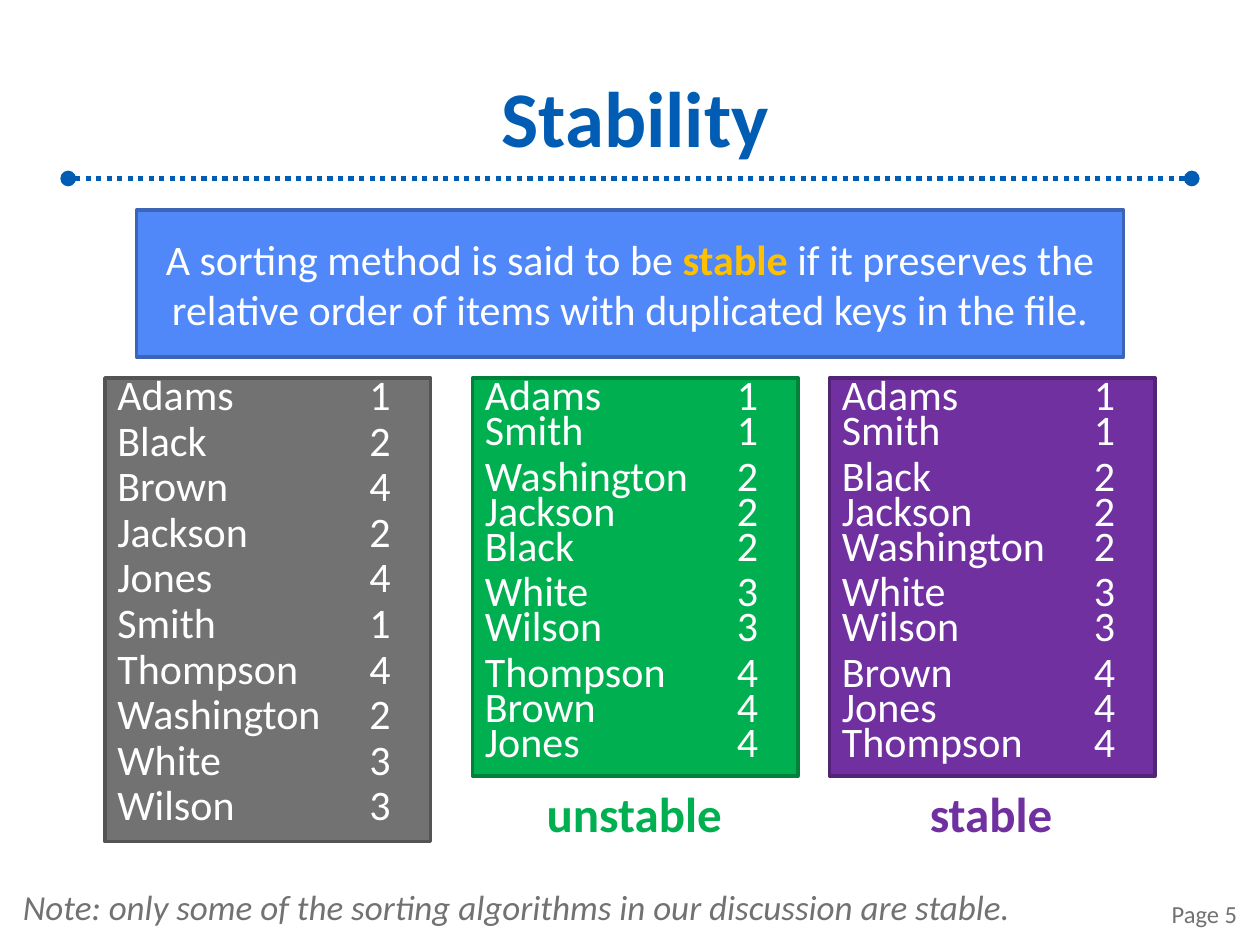
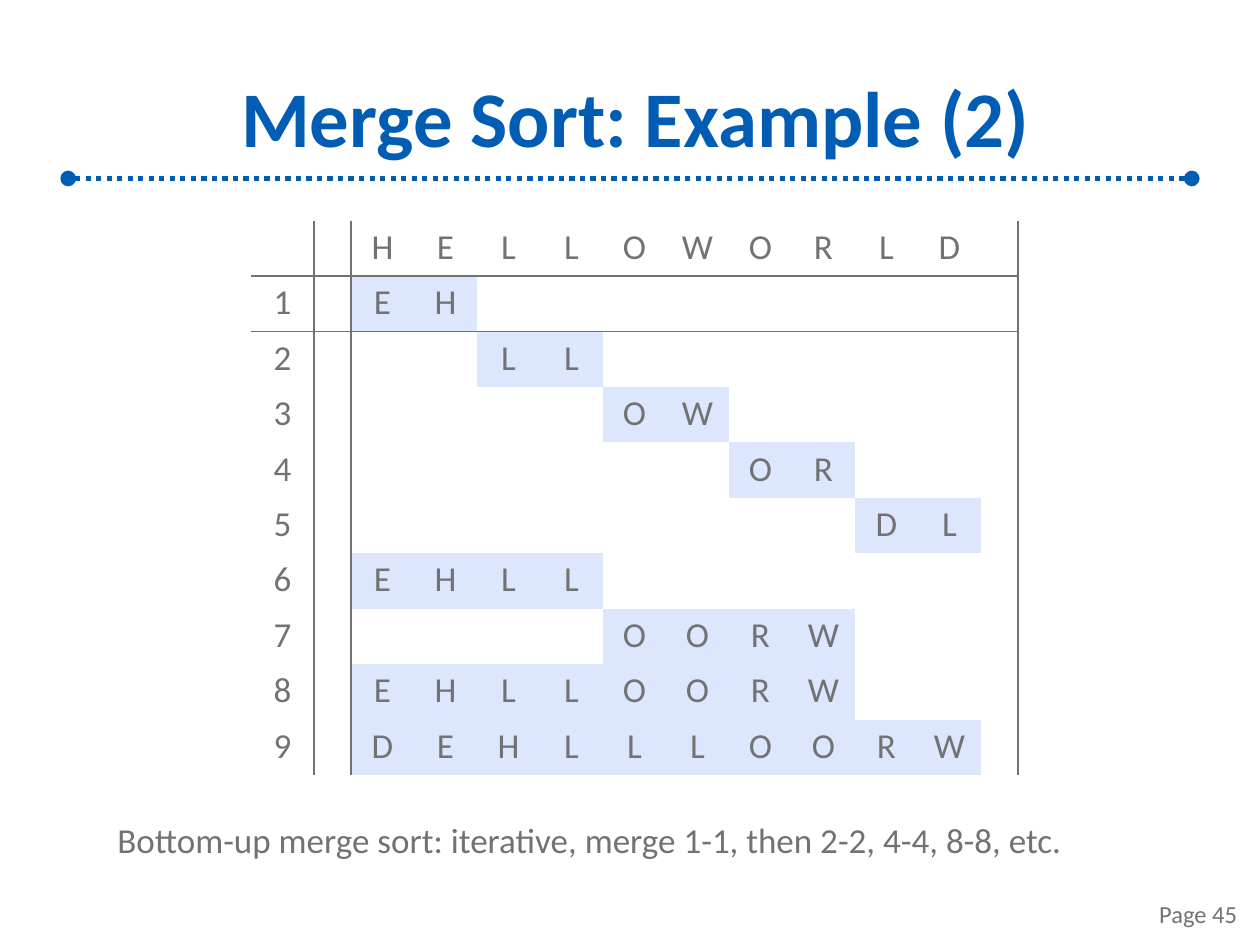
from lxml.etree import SubElement
from pptx import Presentation
from pptx.dml.color import RGBColor
from pptx.enum.dml import MSO_LINE
from pptx.enum.shapes import MSO_CONNECTOR, MSO_SHAPE
from pptx.enum.text import MSO_ANCHOR, PP_ALIGN
from pptx.oxml.ns import qn
from pptx.util import Pt

FONT = "Calibri"
BLUE, GRAY, WHITE = "005DB3", "727272", "FFFFFF"
GREEN, PURPLE, GOLD, PALE = "00B050", "7030A0", "FFC000", "DCE7FE"
PLAIN = "{2D5ABB26-0587-4C30-8999-92F81FD0307C}"
KEYS = {"Adams": 1, "Black": 2, "Brown": 4, "Jackson": 2, "Jones": 4,
        "Smith": 1, "Thompson": 4, "Washington": 2, "White": 3, "Wilson": 3}
MIXED = ["Adams Smith", "Washington Jackson Black", "White Wilson",
         "Thompson Brown Jones"]
KEPT = ["Adams Smith", "Black Jackson Washington", "White Wilson",
        "Brown Jones Thompson"]
WORD = "HELLOWORLD"
STEPS = [(0, "EH"), (2, "LL"), (4, "OW"), (6, "OR"), (8, "DL"),
         (0, "EHLL"), (4, "OORW"), (0, "EHLLOORW"), (0, "DEHLLLOORW")]


def color(code):
    return RGBColor.from_string(code)


def style(font, size, code, bold=False, italic=False):
    font.name, font.size = FONT, Pt(size)
    font.bold, font.italic = bold, italic
    font.color.rgb = color(code)


def add_text(slide, area, text, size, code, align=PP_ALIGN.LEFT,
             anchor=MSO_ANCHOR.TOP, wrap=True, inset=None, spacing=None,
             bold=False, italic=False):
    frame = slide.shapes.add_textbox(*map(Pt, area)).text_frame
    frame.word_wrap, frame.vertical_anchor = wrap, anchor
    if inset is not None:
        frame.margin_left = frame.margin_right = Pt(inset)
        frame.margin_top = frame.margin_bottom = Pt(inset)
    frame.text = text
    para = frame.paragraphs[0]
    para.alignment, para.line_spacing = align, spacing
    style(para.runs[0].font, size, code, bold, italic)


def add_box(slide, area, fill, edge, anchor):
    box = slide.shapes.add_shape(MSO_SHAPE.RECTANGLE, *map(Pt, area))
    box.shadow.inherit = False
    box.fill.solid()
    box.fill.fore_color.rgb = color(fill)
    box.line.color.rgb = color(edge)
    box.line.width = Pt(2)
    box.text_frame.word_wrap = True
    box.text_frame.vertical_anchor = anchor
    return box.text_frame


def add_rule(slide):
    rule = slide.shapes.add_connector(
        MSO_CONNECTOR.STRAIGHT, Pt(39), Pt(102), Pt(681), Pt(102))
    rule.line.color.rgb = color(BLUE)
    rule.line.width = Pt(3)
    rule.line.dash_style = MSO_LINE.ROUND_DOT
    props = rule._element.spPr
    for end in ("a:headEnd", "a:tailEnd"):
        SubElement(props.find(qn("a:ln")), qn(end), type="oval")
    SubElement(props, qn("a:effectLst"))


def add_slide(deck, title, page):
    slide = deck.slides.add_slide(deck.slide_layouts[6])
    add_rule(slide)
    add_text(slide, (48, 30, 630, 73), title, 45, BLUE, PP_ALIGN.CENTER,
             MSO_ANCHOR.MIDDLE, inset=3, bold=True)
    add_text(slide, (546, 497, 168, 37), f"Page {page}", 14, GRAY,
             PP_ALIGN.RIGHT, MSO_ANCHOR.BOTTOM)
    return slide


def add_claim(slide):
    frame = add_box(slide, (78, 120, 564, 84), "5188F9", "3C65B8",
                    MSO_ANCHOR.MIDDLE)
    para = frame.paragraphs[0]
    para.alignment = PP_ALIGN.CENTER
    for text, code in (
            ("A sorting method is said to be ", WHITE), ("stable", GOLD),
            (" if it preserves the relative order of items with "
             "duplicated keys in the file.", WHITE)):
        run = para.add_run()
        run.text = text
        style(run.font, 24, code, bold=code == GOLD)


def add_list(slide, left, height, fill, edge, groups):
    frame = add_box(slide, (left, 216, 186, height), fill, edge,
                    MSO_ANCHOR.TOP)
    for index, group in enumerate(groups):
        para = frame.add_paragraph() if index else frame.paragraphs[0]
        para.text = "\v".join(f"{name}\t{KEYS[name]}"
                              for name in group.split())
        tabs = SubElement(para._p.get_or_add_pPr(), qn("a:tabLst"))
        SubElement(tabs, qn("a:tab"), pos=str(Pt(144)), algn="l")
        para.alignment, para.line_spacing = PP_ALIGN.LEFT, Pt(20)
        para.space_before = Pt(6 if index else 0)
        for run in para.runs:
            style(run.font, 24, WHITE)


def add_edge(cell, side):
    line = SubElement(cell._tc.get_or_add_tcPr(), qn(f"a:ln{side}"),
                      w=str(Pt(1)))
    fill = SubElement(line, qn("a:solidFill"))
    SubElement(fill, qn("a:srgbClr"), val=GRAY)


def fill_cell(cell, text, shade):
    cell.vertical_anchor = MSO_ANCHOR.MIDDLE
    if shade:
        cell.fill.solid()
        cell.fill.fore_color.rgb = color(PALE)
    else:
        cell.fill.background()
    if text:
        cell.text = text
        para = cell.text_frame.paragraphs[0]
        para.alignment, para.line_spacing = PP_ALIGN.CENTER, 0.85
        style(para.runs[0].font, 20, GRAY)


def add_trace(slide):
    rows, cols = len(STEPS) + 1, len(WORD) + 3
    high, wide, thin = 31.7, 36, 21.2
    table = slide.shapes.add_table(
        rows, cols, Pt(143.4), Pt(126), Pt(wide * (cols - 2) + thin * 2),
        Pt(high * rows)).table
    table.first_row = table.horz_banding = False
    table._tbl.tblPr.find(qn("a:tableStyleId")).text = PLAIN
    for index, col in enumerate(table.columns):
        col.width = Pt(thin if index in (1, cols - 1) else wide)
    for row, (start, text) in enumerate([(0, WORD), *STEPS]):
        table.rows[row].height = Pt(high)
        marks = {start + 2 + place: mark for place, mark in enumerate(text)}
        for col in range(cols):
            cell = table.cell(row, col)
            if col in (0, 1, cols - 1):
                add_edge(cell, "R")
            if row in (0, 1):
                add_edge(cell, "B")
            label = str(row) if row and not col else marks.get(col, "")
            fill_cell(cell, label, row and col in marks)


def main():
    deck = Presentation()
    deck.slide_width, deck.slide_height = Pt(720), Pt(540)

    slide = add_slide(deck, "Stability", 5)
    add_claim(slide)
    add_list(slide, 60, 265, GRAY, "545454", KEYS)
    add_list(slide, 270, 227.5, GREEN, "00823B", MIXED)
    add_list(slide, 474, 227.5, PURPLE, "532476", KEPT)
    for left, width, text, code in ((305.3, 116, "unstable", GREEN),
                                    (524.2, 85.7, "stable", PURPLE)):
        add_text(slide, (left, 449.3, width, 36.7), text, 28, code,
                 wrap=False, spacing=0.85, bold=True)
    add_text(slide, (6, 506, 612, 28),
             "Note: only some of the sorting algorithms in our discussion "
             "are stable.", 20, GRAY, spacing=0.85, italic=True)

    slide = add_slide(deck, "Merge Sort: Example (2)", 45)
    add_trace(slide)
    add_text(slide, (60, 468, 559.4, 28),
             "Bottom-up merge sort: iterative, merge 1-1, then 2-2, 4-4, "
             "8-8, etc.", 20, GRAY, wrap=False, spacing=0.85)
    deck.save("out.pptx")


if __name__ == "__main__":
    main()
